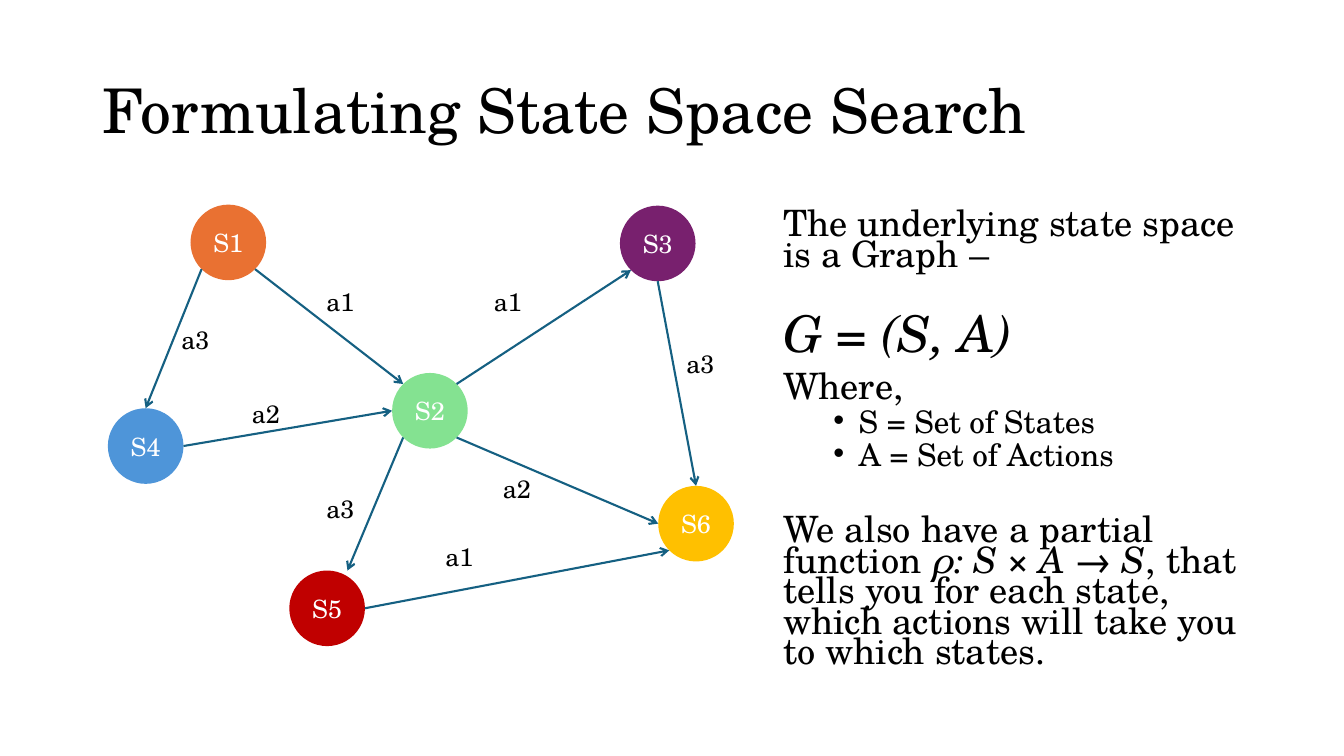
from dataclasses import dataclass
from math import cos, radians, sin

from lxml.etree import SubElement
from pptx import Presentation
from pptx.dml.color import RGBColor
from pptx.enum.shapes import MSO_CONNECTOR as Connector, MSO_SHAPE as Shape
from pptx.enum.text import MSO_ANCHOR as Anchor, PP_ALIGN as Align
from pptx.oxml.ns import qn
from pptx.util import Inches, Pt


@dataclass(frozen=True)
class Theme:
    font: str = "TeX Gyre Schola"
    ink: str = "000000"
    light: str = "FFFFFF"
    arrow: str = "156082"
    title: float = 44
    formula: float = 36.1
    body: float = 25.9
    bullet: float = 22.2
    label: float = 18


THEME = Theme()
COLUMNS, ROWS = 160, 90
NODE = 9
LABEL_SIZE = (5.76, 4.8)

TITLE = "Formulating State Space Search"
TITLE_BOX = (11, 4.8, 138, 17.4)
BODY_BOX = (92.04, 24.72, 60.48, 57.12)

STATES = {
    "S1": (22.68, 24.36, "E97132"),
    "S4": (12.84, 48.6, "4E95D9"),
    "S5": (34.44, 67.92, "C00000"),
    "S3": (73.8, 24.48, "78206E"),
    "S6": (78.36, 57.84, "FFC000"),
    "S2": (46.68, 44.4, "84E291"),
}

ANGLES = {"E": 0, "SE": 45, "S": 90, "SW": 135, "W": 180, "NW": 225, "N": 270, "NE": 315}
SITES = {name: (0.5 + cos(radians(angle)) / 2, 0.5 + sin(radians(angle)) / 2)
         for name, angle in ANGLES.items()}
SITES["top right"] = (0.77, 0)

ACTIONS = [
    ("S1", "SE", "S2", "NW", "a1", (37.68, 33.48)),
    ("S2", "NE", "S3", "SW", "a1", (57.6, 33.48)),
    ("S3", "S", "S6", "N", "a3", (80.52, 40.92)),
    ("S2", "SE", "S6", "W", "a2", (58.68, 55.8)),
    ("S2", "SW", "S5", "top right", "a3", (37.68, 58.08)),
    ("S4", "E", "S2", "W", "a2", (28.8, 46.8)),
    ("S5", "E", "S6", "SW", "a1", (51.84, 63.84)),
    ("S1", "SW", "S4", "N", "a3", (20.4, 38.04)),
]

BODY = [
    ([("The underlying state space is a Graph –", False)], THEME.body, 0, False),
    ([("G = (S, A)", True)], THEME.formula, 32, False),
    ([("Where,", False)], THEME.body, 10, False),
    ([("S = Set of States", False)], THEME.bullet, 5, True),
    ([("A = Set of Actions", False)], THEME.bullet, 5, True),
    ([("We also have a partial function ", False), ("ρ: S × A → S", True),
      (", that tells you for each state, which actions will take you to which states.", False)],
     THEME.body, 33.6, False),
]

presentation = Presentation()
presentation.slide_width, presentation.slide_height = Inches(13.33), Inches(7.5)
slide = presentation.slides.add_slide(presentation.slide_layouts[6])
CELL_WIDTH = presentation.slide_width / COLUMNS
CELL_HEIGHT = presentation.slide_height / ROWS


def place(*cells):
    return [round(cell * (CELL_HEIGHT if index % 2 else CELL_WIDTH))
            for index, cell in enumerate(cells)]


def style(paragraph, size, color=THEME.ink):
    font = paragraph.font
    font.name, font.size = THEME.font, Pt(size)
    font.color.rgb = RGBColor.from_string(color)


def add_text(box, text, size, wrap=True, anchor=Anchor.TOP):
    frame = slide.shapes.add_textbox(*place(*box)).text_frame
    frame.word_wrap, frame.vertical_anchor = wrap, anchor
    paragraph = frame.paragraphs[0]
    paragraph.text = text
    style(paragraph, size)
    return paragraph


def add_state(name, left, top, color):
    shape = slide.shapes.add_shape(Shape.OVAL, *place(left, top, NODE, NODE))
    shape.shadow.inherit = False
    shape.fill.solid()
    shape.fill.fore_color.rgb = RGBColor.from_string(color)
    shape.line.fill.background()
    frame = shape.text_frame
    frame.word_wrap, frame.vertical_anchor = False, Anchor.MIDDLE
    paragraph = frame.paragraphs[0]
    paragraph.text, paragraph.alignment = name, Align.CENTER
    style(paragraph, THEME.label, THEME.light)


def site(state, name):
    left, top, _ = STATES[state]
    across, down = SITES[name]
    return left + across * NODE, top + down * NODE


def add_arrow(start, end):
    arrow = slide.shapes.add_connector(Connector.STRAIGHT, *place(*start, *end))
    arrow.line.width = Pt(1.5)
    arrow.line.color.rgb = RGBColor.from_string(THEME.arrow)
    SubElement(arrow.line._get_or_add_ln(), qn("a:tailEnd"), type="arrow")
    SubElement(arrow._element.spPr, qn("a:effectLst"))


def add_body():
    frame = slide.shapes.add_textbox(*place(*BODY_BOX)).text_frame
    frame.word_wrap = True
    for index, (runs, size, space, bulleted) in enumerate(BODY):
        paragraph = frame.add_paragraph() if index else frame.paragraphs[0]
        paragraph.line_spacing = 0.7
        paragraph.space_before = Pt(space)
        if bulleted:
            properties = paragraph._p.get_or_add_pPr()
            properties.set("marL", str(Inches(0.75)))
            properties.set("indent", str(Inches(-0.25)))
            SubElement(properties, qn("a:buFont"), typeface="Arial")
            SubElement(properties, qn("a:buChar"), char="•")
        style(paragraph, size)
        for text, italic in runs:
            run = paragraph.add_run()
            run.text, run.font.italic = text, italic


def main():
    title = add_text(TITLE_BOX, TITLE, THEME.title, anchor=Anchor.MIDDLE)
    title.line_spacing = 0.9
    for name, details in STATES.items():
        add_state(name, *details)
    for source, leave, target, arrive, action, spot in ACTIONS:
        add_arrow(site(source, leave), site(target, arrive))
        add_text(spot + LABEL_SIZE, action, THEME.label, wrap=False)
    add_body()
    presentation.save("out.pptx")


if __name__ == "__main__":
    main()
